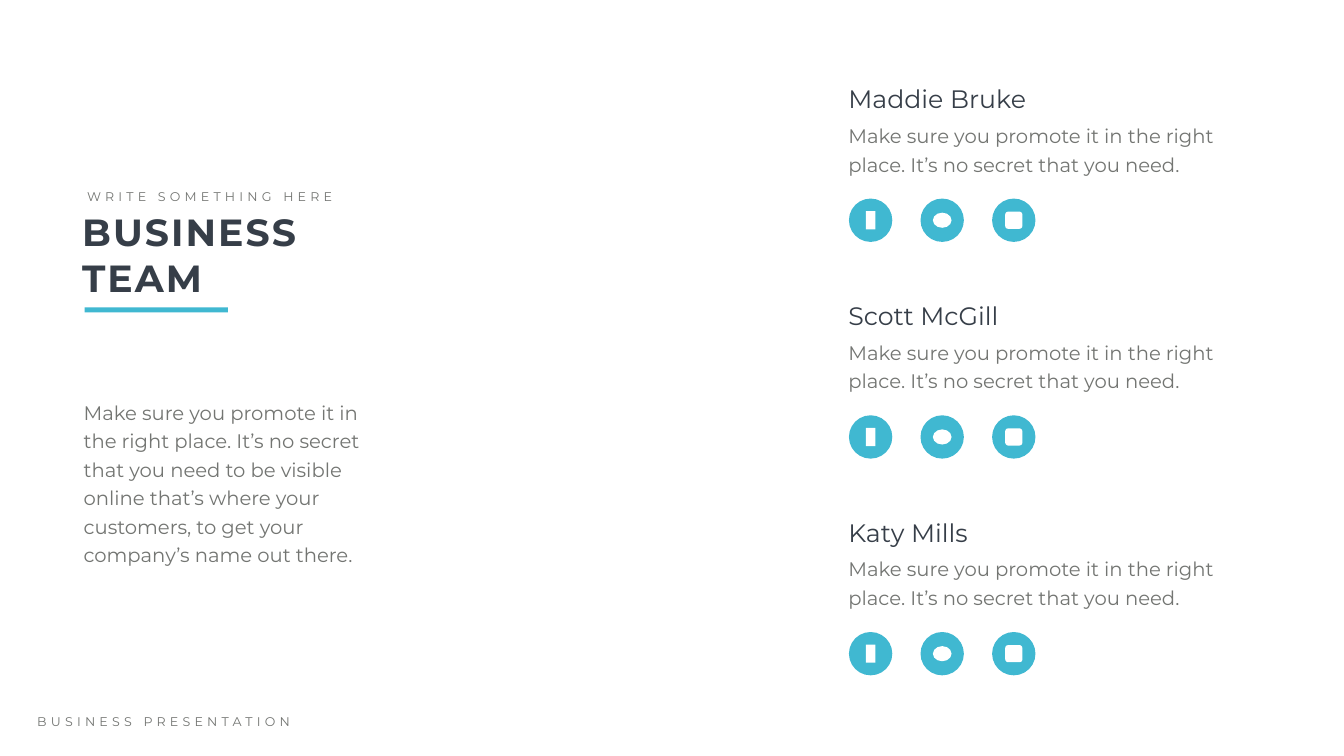
"""Build the business team slide with three member profiles."""
import pptx
import pptx.dml.color
import pptx.enum.shapes
import pptx.enum.text
import pptx.util

Inches = pptx.util.Inches
Pt = pptx.util.Pt
KIND = pptx.enum.shapes.MSO_SHAPE

COLORS = {"dark": "363E48", "gray": "737572", "teal": "40B8D1", "white": "FFFFFF"}
FONT = "Montserrat"

TITLE = "BUSINESS TEAM"
LABEL = "WRITE SOMETHING HERE"
FOOTER = "BUSINESS PRESENTATION"
INTRO = (
    "Make sure you promote it in the right place. It’s no secret that you need "
    "to be visible online that’s where your customers, to get your company’s "
    "name out there."
)
BLURB = "Make sure you promote it in the right place. It’s no secret that you need."
TEAM = ["Maddie Bruke", "Scott McGill", "Katy Mills"]
ICONS = [
    (KIND.RECTANGLE, 0.19, 0.36),
    (KIND.OVAL, 0.37, 0.3),
    (KIND.ROUNDED_RECTANGLE, 0.34, 0.34),
]

LEFT, TOP, PITCH = 16.73, 1.61, 4.3
DISC, STEP = 0.86, 1.42


def add_text(slide, box, text, size, color, bold=False, track=0, lead=None, wrap=True):
    frame = slide.shapes.add_textbox(*map(Inches, box)).text_frame
    frame.word_wrap = wrap
    frame.auto_size = pptx.enum.text.MSO_AUTO_SIZE.SHAPE_TO_FIT_TEXT
    para = frame.paragraphs[0]
    run = para.add_run()
    run.text = text
    if lead:
        para.line_spacing = Pt(lead)
    font = para.font
    if track:
        font = run.font
        run._r.get_or_add_rPr().set("spc", str(track * 100))
    font.name = FONT
    font.size = Pt(size)
    font.bold = bold
    font.color.rgb = pptx.dml.color.RGBColor.from_string(COLORS[color])


def add_shape(slide, kind, box, color):
    shape = slide.shapes.add_shape(kind, *map(Inches, box))
    shape.shadow.inherit = False
    shape.fill.solid()
    shape.fill.fore_color.rgb = pptx.dml.color.RGBColor.from_string(COLORS[color])
    shape.line.fill.background()


def add_member(slide, name, top):
    add_text(slide, (LEFT, top + 0.7, 7.69, 1.2), BLURB, 28, "gray", lead=40.8)
    add_text(slide, (LEFT, top, 4.81, 0.71), name, 36, "dark")
    for col, (kind, wide, high) in enumerate(ICONS):
        x, y = LEFT + 0.11 + col * STEP, top + 2.33
        add_shape(slide, KIND.OVAL, (x, y, DISC, DISC), "teal")
        inner = (x + (DISC - wide) / 2, y + (DISC - high) / 2, wide, high)
        add_shape(slide, kind, inner, "white")


def main():
    deck = pptx.Presentation()
    deck.slide_width, deck.slide_height = Inches(26.66), Inches(15)
    slide = deck.slides.add_slide(deck.slide_layouts[6])

    add_text(slide, (1.53, 4.1, 5.29, 1.92), TITLE, 54, "dark", bold=True, track=3)
    add_text(slide, (1.63, 3.69, 5.18, 0.4), LABEL, 18, "gray", track=6, wrap=False)
    add_shape(slide, KIND.RECTANGLE, (1.68, 6.1, 2.84, 0.1), "teal")
    add_text(slide, (1.56, 7.8, 5.73, 3.5), INTRO, 28, "gray", lead=40.8)
    for row, name in enumerate(TEAM):
        add_member(slide, name, TOP + row * PITCH)
    add_text(slide, (0.64, 14.12, 6.05, 0.4), FOOTER, 18, "gray", track=6)

    deck.save("out.pptx")


if __name__ == "__main__":
    main()
